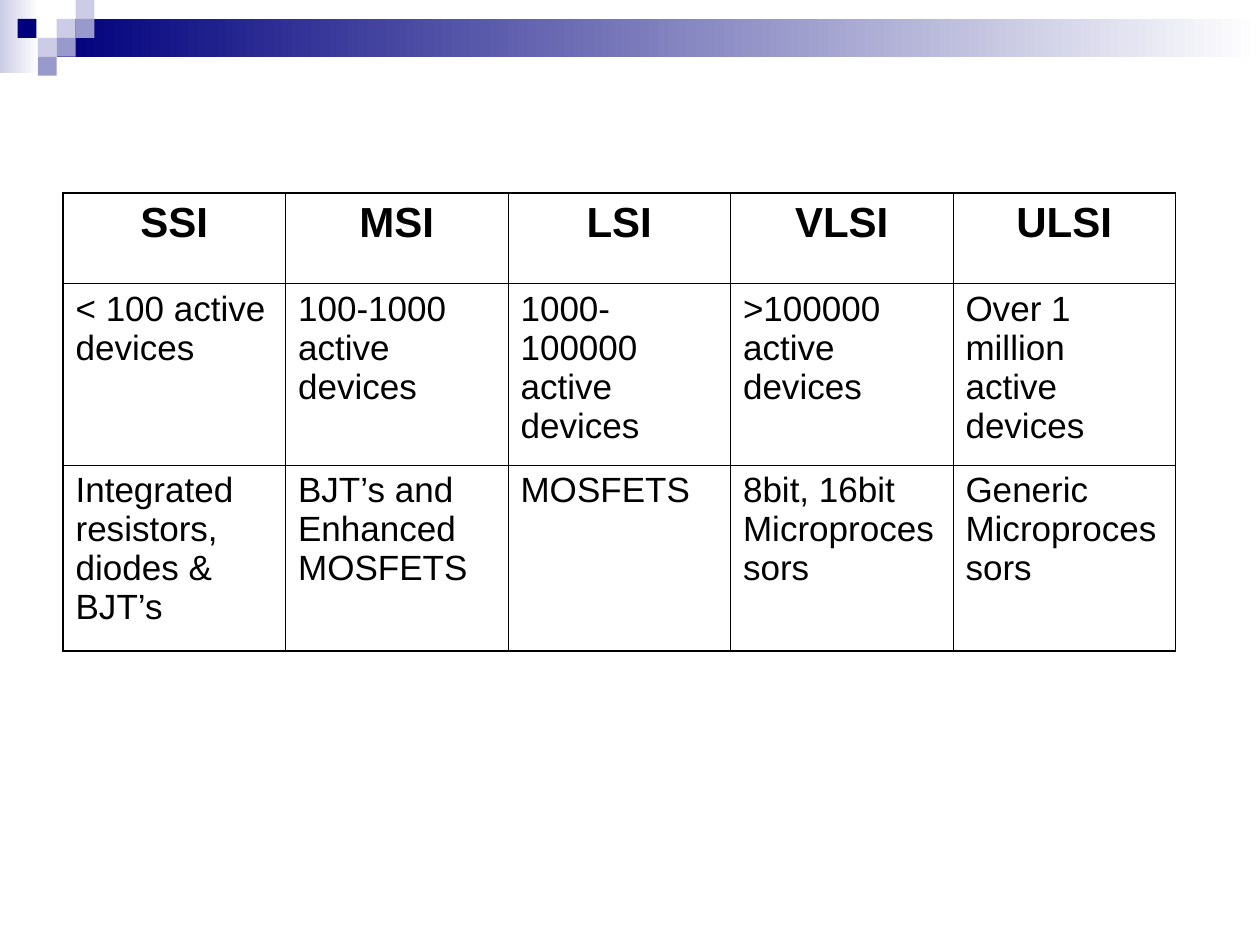
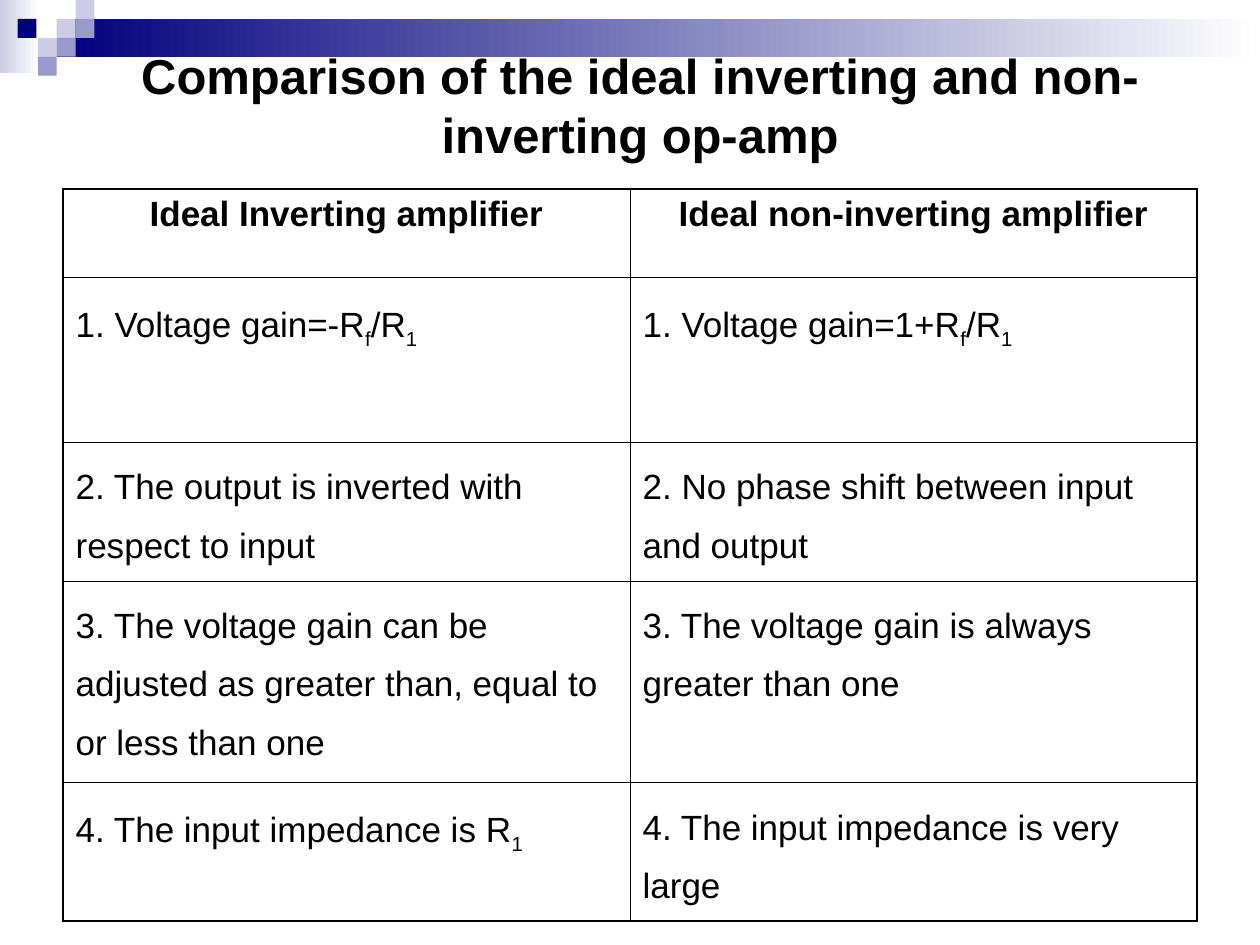
"""Build two table slides on chip scales and ideal op-amp circuits."""
from dataclasses import dataclass

from lxml.etree import SubElement
from pptx import Presentation
from pptx.dml.color import RGBColor as Rgb
from pptx.enum.shapes import MSO_SHAPE as Shape
from pptx.enum.text import MSO_ANCHOR as Anchor, PP_ALIGN as Align
from pptx.oxml.ns import qn
from pptx.util import Inches, Pt


@dataclass(frozen=True)
class Theme:
    font: str = "Arial"
    ink: str = "000000"
    navy: str = "00007D"
    mid: str = "9999CC"
    pale: str = "CCCCE6"
    white: str = "FFFFFF"
    title: int = 28
    head: int = 24
    body: int = 20
    thick: float = 1.08
    thin: float = 0.45


LOOK = Theme()

BANDS = [
    (0, 0, 0.31, 0.58, LOOK.pale),
    (0.45, 0.15, 9.55, 0.3, LOOK.navy),
]
UNIT = 0.15
TILES = [
    (3, 1, LOOK.pale),
    (4, 0, LOOK.pale),
    (4, 1, LOOK.mid),
    (2, 2, LOOK.pale),
    (0.93, 1, LOOK.navy),
    (3, 2, LOOK.mid),
    (2, 3, LOOK.mid),
]

SLIDES = [
    {
        "title": None,
        "top": 1.53,
        "width": 8.83,
        "rows": [0.72, 1.44, 1.48],
        "head": LOOK.head,
        "before": 6,
        "lines": 1,
        "cells": [
            ["SSI", "MSI", "LSI", "VLSI", "ULSI"],
            ["< 100 active devices", "100-1000 active devices",
             "1000-100000 active devices", ">100000 active devices",
             "Over 1 million active devices"],
            ["Integrated resistors, diodes & BJT’s",
             "BJT’s and Enhanced MOSFETS", "MOSFETS",
             "8bit, 16bit Microprocessors", "Generic Microprocessors"],
        ],
    },
    {
        "title": "Comparison of the ideal inverting and non-inverting op-amp",
        "top": 1.5,
        "width": 9,
        "rows": [0.7, 1.31, 1.1, 1.6, 1.1],
        "head": LOOK.body,
        "before": 5,
        "lines": 1.5,
        "cells": [
            ["Ideal Inverting amplifier", "Ideal non-inverting amplifier"],
            ["1. Voltage gain=-R_f/R_1", "1. Voltage gain=1+R_f/R_1"],
            ["2. The output is inverted with respect to input",
             "2. No phase shift between input and output"],
            ["3. The voltage gain can be adjusted as greater than, "
             "equal to or less than one",
             "3. The voltage gain is always greater than one"],
            ["4. The input impedance is R_1",
             "4. The input impedance is very large"],
        ],
    },
]


def add_box(slide, x, y, w, h):
    box = slide.shapes.add_shape(Shape.RECTANGLE, *map(Inches, (x, y, w, h)))
    box.shadow.inherit = False
    box.line.fill.background()
    return box


def add_frame(slide):
    for x, y, w, h, tone in BANDS:
        fill = add_box(slide, x, y, w, h).fill
        fill.gradient()
        fill.gradient_angle = 0
        for stop, hue in zip(fill.gradient_stops, (tone, LOOK.white)):
            stop.color.rgb = Rgb.from_string(hue)
    for col, row, tone in TILES:
        fill = add_box(slide, col * UNIT, row * UNIT, UNIT, UNIT).fill
        fill.solid()
        fill.fore_color.rgb = Rgb.from_string(tone)


def write(para, text, size, bold=False):
    """Write text, lowering each character that follows an underscore."""
    first, *rest = text.split("_")
    para.text = first
    for part in rest:
        low = para.add_run()
        low.text = part[0]
        low.font._element.set("baseline", "-25000")
        if part[1:]:
            para.add_run().text = part[1:]
    for run in para.runs:
        font = run.font
        font.name, font.size, font.bold = LOOK.font, Pt(size), bold
        font.color.rgb = Rgb.from_string(LOOK.ink)


def add_title(slide, text):
    box = slide.shapes.add_textbox(*map(Inches, (0.58, 0.08, 9, 1.5)))
    frame = box.text_frame
    frame.word_wrap = True
    frame.vertical_anchor = Anchor.MIDDLE
    para = frame.paragraphs[0]
    para.alignment = Align.CENTER
    write(para, text, LOOK.title, True)


def set_edges(cell, outer):
    props = cell._tc.get_or_add_tcPr()
    for side, edge in zip("LRTB", outer):
        width = Pt(LOOK.thick if edge else LOOK.thin)
        line = SubElement(props, qn(f"a:ln{side}"), w=str(width))
        fill = SubElement(line, qn("a:solidFill"))
        SubElement(fill, qn("a:srgbClr"), val=LOOK.ink)
    cell.fill.background()


def add_grid(slide, data):
    cells, rows = data["cells"], data["rows"]
    high, wide = len(cells), len(cells[0])
    spot = map(Inches, (0.5, data["top"], data["width"], sum(rows)))
    table = slide.shapes.add_table(high, wide, *spot).table
    table.first_row = table.horz_banding = False
    for col in table.columns:
        col.width = Inches(data["width"] / wide)
    for r, texts in enumerate(cells):
        table.rows[r].height = Inches(rows[r])
        head = r == 0
        for c, text in enumerate(texts):
            cell = table.cell(r, c)
            set_edges(cell, (c == 0, c == wide - 1, head, r == high - 1))
            para = cell.text_frame.paragraphs[0]
            write(para, text, data["head"] if head else LOOK.body, head)
            para.alignment = Align.CENTER if head else Align.LEFT
            para.space_before = Pt(data["before"] if head else 5)
            para.line_spacing = 1.0 if head else float(data["lines"])


def main():
    deck = Presentation()
    deck.slide_width, deck.slide_height = Inches(10), Inches(7.5)
    for data in SLIDES:
        slide = deck.slides.add_slide(deck.slide_layouts[6])
        add_frame(slide)
        if data["title"]:
            add_title(slide, data["title"])
        add_grid(slide, data)
    deck.save("out.pptx")


if __name__ == "__main__":
    main()
